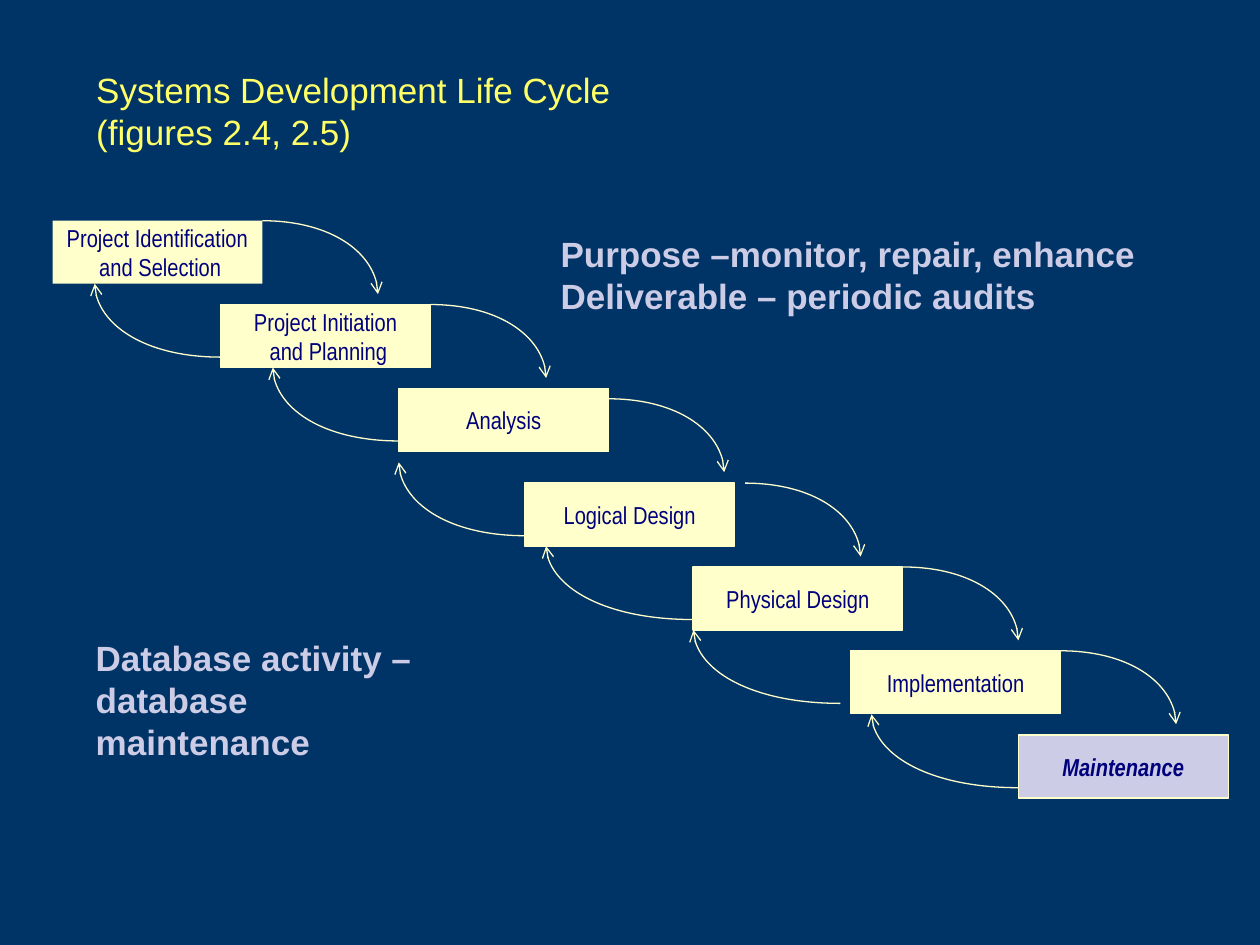
from lxml.etree import SubElement
from pptx import Presentation
from pptx.dml.color import RGBColor
from pptx.enum.shapes import MSO_SHAPE as Shape
from pptx.enum.text import MSO_ANCHOR as Anchor, PP_ALIGN as Align
from pptx.oxml.ns import qn
from pptx.util import Cm, Pt

COLOURS = {"navy": "003366", "yellow": "FFFF66", "cream": "FFFFCC",
           "lilac": "CCCCE6", "ink": "00007D"}
PALETTE = {name: RGBColor.from_string(code) for name, code in COLOURS.items()}

TITLE_FONT = {"name": "Arial", "size": Pt(20)}
NOTE_FONT = {"name": "Arial", "size": Pt(20), "bold": True}
STEP_FONT = {"name": "Arial Narrow", "size": Pt(14)}
CURRENT_FONT = {**STEP_FONT, "bold": True, "italic": True}


def write_text(box, text, font, colour, align=Align.LEFT, anchor=Anchor.TOP, wrap=False):
    frame = box.text_frame
    frame.text = text
    frame.word_wrap = wrap
    frame.vertical_anchor = anchor
    for para in frame.paragraphs:
        para.alignment = align
        for span in para.runs:
            for key, value in font.items():
                setattr(span.font, key, value)
            span.font.color.rgb = PALETTE[colour]


def add_curved_arrow(page, x, y, dx, dy):
    """Draw a quarter ellipse that leaves sideways and arrives vertically."""
    builder = page.shapes.build_freeform(Cm(x), Cm(y))
    builder.add_line_segments([(Cm(x + dx), Cm(y + dy))], close=False)
    arrow = builder.convert_to_shape()
    arrow.shadow.inherit = False
    arrow.fill.background()
    arrow.line.color.rgb = PALETTE["cream"]
    arrow.line.width = Pt(0.75)
    SubElement(arrow.element.spPr.get_or_add_ln(), qn("a:tailEnd"), type="arrow")

    # Turn the straight segment into a Bezier curve
    width, height = arrow.width, arrow.height
    x0, x1 = (0, width) if dx > 0 else (width, 0)
    y0, y1 = (0, height) if dy > 0 else (height, 0)
    segment = next(arrow.element.iter(qn("a:lnTo")))
    segment.tag = qn("a:cubicBezTo")
    segment.remove(segment[0])
    controls = [(x0 + 0.55 * (x1 - x0), y0), (x1, y1 - 0.55 * (y1 - y0)), (x1, y1)]
    for px, py in controls:
        SubElement(segment, qn("a:pt"), x=str(round(px)), y=str(round(py)))


deck = Presentation()
deck.slide_width, deck.slide_height = Cm(25.4), Cm(19.05)
page = deck.slides.add_slide(deck.slide_layouts[6])
page.background.fill.solid()
page.background.fill.fore_color.rgb = PALETTE["navy"]

# Title
title = page.shapes.add_textbox(Cm(1.69), Cm(0.64), Cm(21.59), Cm(3.18))
write_text(title, "Systems Development Life Cycle\v(figures 2.4, 2.5)", TITLE_FONT,
           "yellow", anchor=Anchor.MIDDLE, wrap=True)

# Life cycle steps: text, left, top
STEP_WIDTH, STEP_HEIGHT = 4.23, 1.27
steps = [
    ("Project Identification\n and Selection", 1.06, 4.45),
    ("Project Initiation\n and Planning", 4.45, 6.14),
    ("Analysis", 8.04, 7.83),
    ("Logical Design", 10.58, 9.74),
    ("Physical Design", 13.97, 11.43),
    ("Implementation", 17.15, 13.12),
    ("Maintenance", 20.53, 14.82),
]
for text, left, top in steps:
    current = text == "Maintenance"
    step = page.shapes.add_shape(Shape.RECTANGLE, Cm(left), Cm(top),
                                 Cm(STEP_WIDTH), Cm(STEP_HEIGHT))
    step.shadow.inherit = False
    step.fill.solid()
    step.fill.fore_color.rgb = PALETTE["lilac" if current else "cream"]
    if text == steps[0][0]:
        step.line.fill.background()
    else:
        step.line.color.rgb = PALETTE["cream"]
        step.line.width = Pt(0.75)
    write_text(step, text, CURRENT_FONT if current else STEP_FONT, "ink",
               Align.CENTER, Anchor.MIDDLE)

# Arrows to the next step and back again; a few stand slightly off their step
GAP, ARROW_HEIGHT = 0.21, 1.48
forward_shift = {"Analysis": (0, GAP), "Logical Design": (GAP, 0)}
back_shift = {"Implementation": -GAP}
back_widths = [2.54] * 3 + [2.96] * 3
for (text, left, top), (following, next_left, next_top), back_width in zip(
        steps, steps[1:], back_widths):
    shift_x, shift_y = forward_shift.get(text, (0, 0))
    add_curved_arrow(page, left + STEP_WIDTH + shift_x, top + shift_y, 2.33, ARROW_HEIGHT)
    add_curved_arrow(page, next_left + back_shift.get(following, 0), next_top + 1.06,
                     -back_width, -ARROW_HEIGHT)

# Notes on the maintenance step
notes = [
    ("Purpose –monitor, repair, enhance\nDeliverable – periodic audits", 11.05, 4.57, 12.17),
    ("Database activity –\ndatabase maintenance", 1.68, 12.7, 8.08),
]
for text, left, top, width in notes:
    note = page.shapes.add_textbox(Cm(left), Cm(top), Cm(width), Cm(1.96))
    write_text(note, text, NOTE_FONT, "lilac")

deck.save("out.pptx")
